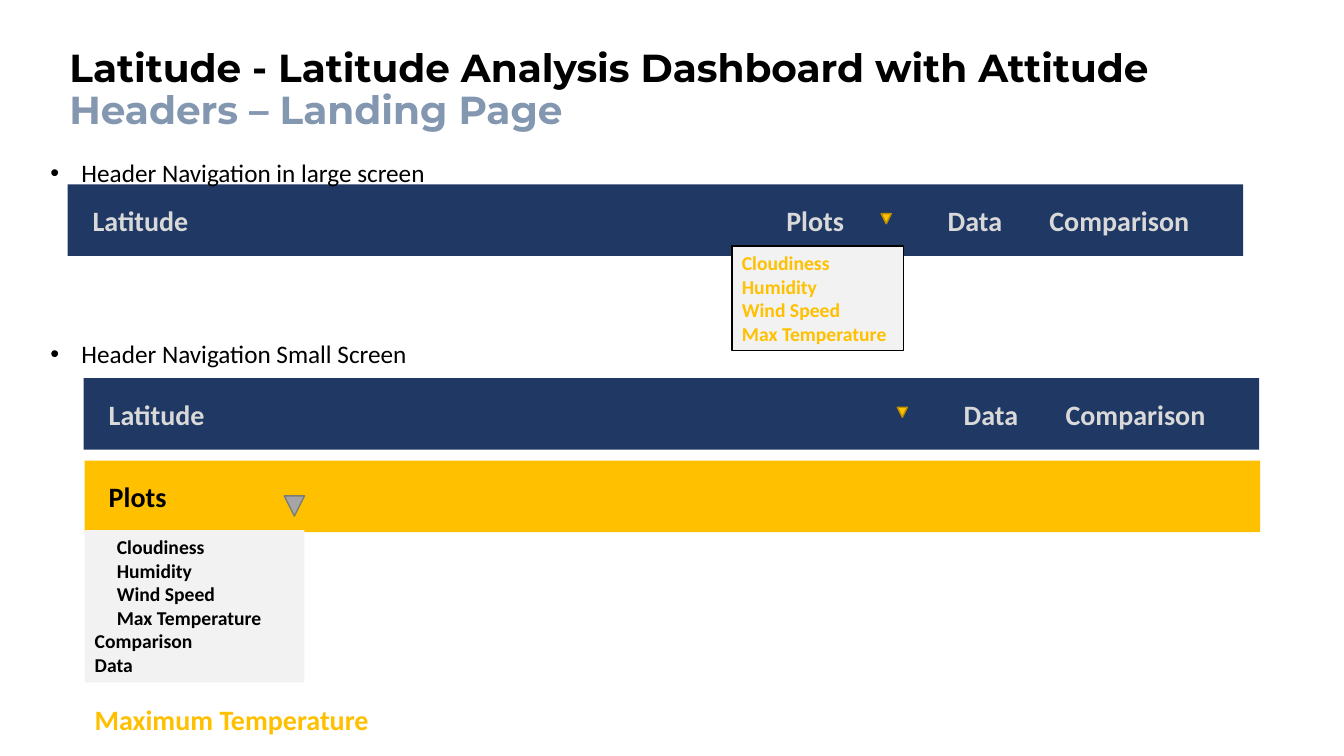
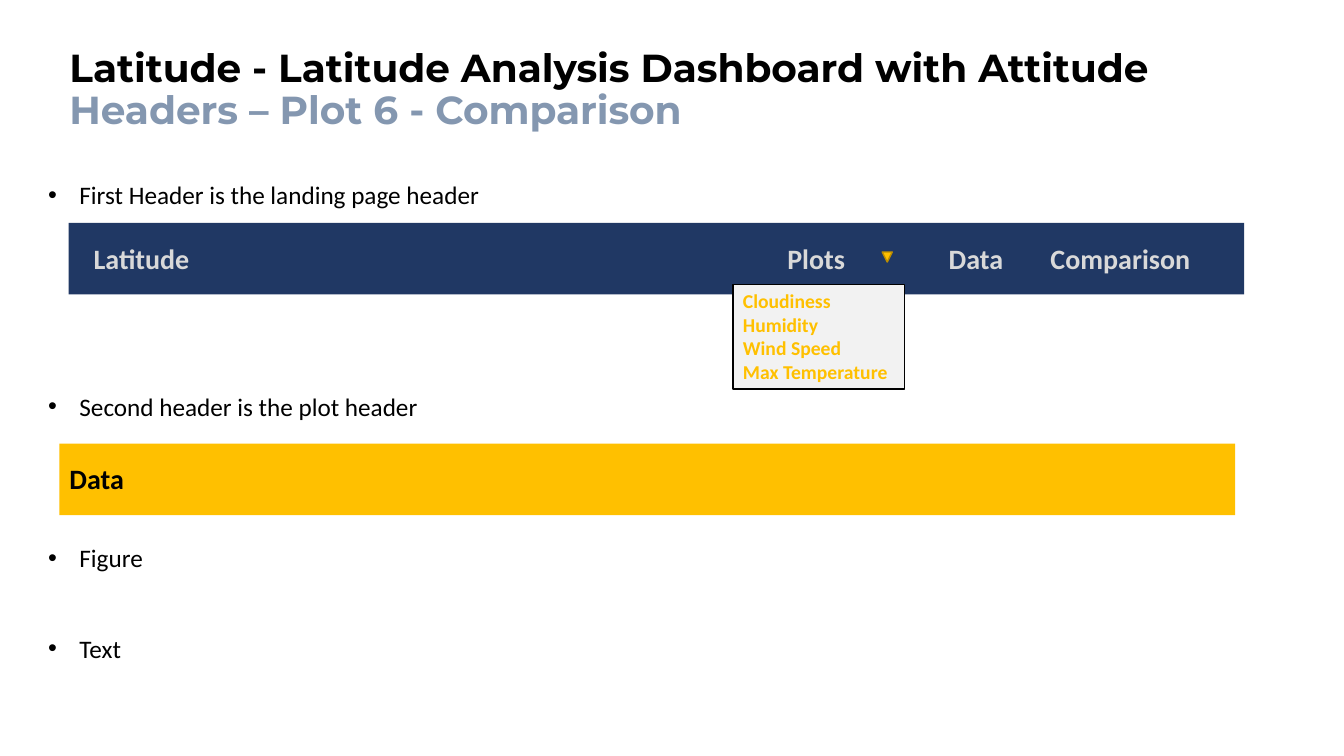
from pptx import Presentation, util as u
from pptx.dml.color import RGBColor
from pptx.enum import shapes, text
from pptx.oxml.ns import qn
from lxml import etree

Inches = u.Inches
COLORS = {"navy": "203864", "gold": "FFC000", "gold_edge": "BD8E00",
          "pale": "F2F2F2", "light": "D9D9D9", "gray": "A5A5A5",
          "gray_edge": "7A7A7A", "slate": "8497B0", "black": "000000"}
BAR_WIDTH, BAR_HEIGHT = 11.66, 0.71
LABEL_HEIGHT = 0.44
BULLET_LINE = 21.6  # points taken by one line of bullet text
RECT = shapes.MSO_SHAPE.RECTANGLE
ARROW = shapes.MSO_SHAPE.FLOWCHART_MERGE
PLOTS = ["Cloudiness", "Humidity", "Wind Speed", "Max Temperature"]


def add_box(page, at, lines=(), kind=None, fill=None, edge=None, size=20,
            color="black", bold=True, font="Calibri"):
    """Add a text box, or a preset shape when kind is given."""
    place = [Inches(length) for length in at]
    if kind is None:
        box = page.shapes.add_textbox(*place)
    else:
        box = page.shapes.add_shape(kind, *place)
        box.shadow.inherit = False
        box.fill.solid()
        box.fill.fore_color.rgb = RGBColor.from_string(COLORS[fill])
        if edge:
            box.line.color.rgb = RGBColor.from_string(COLORS[edge])
            box.line.width = u.Pt(1)
        else:
            box.line.fill.background()
    frame = box.text_frame
    frame.word_wrap = True
    frame.vertical_anchor = text.MSO_ANCHOR.TOP
    for index, line in enumerate(lines):
        para = frame.paragraphs[0] if index == 0 else frame.add_paragraph()
        para.alignment = text.PP_ALIGN.LEFT
        span = para.add_run()
        span.text = line
        formats = {"name": font, "size": u.Pt(size), "bold": bold}
        for name, value in formats.items():
            setattr(span.font, name, value)
        span.font.color.rgb = RGBColor.from_string(COLORS[color])
    return box


def add_header(page, left, top, with_menu=True):
    """Add the navy navigation bar with its labels and drop-down."""
    add_box(page, (left, top, BAR_WIDTH, BAR_HEIGHT), kind=RECT, fill="navy")
    labels = [("Latitude", 0.15, 2.77), ("Data", 8.63, 0.78),
              ("Comparison", 9.64, 1.69)]
    if with_menu:
        labels.append(("Plots", 7.03, 1.08))
        add_box(page, (left + 6.59, top + 0.61, 1.7, 1.04), PLOTS, RECT,
                "pale", "black", size=14, color="gold")
    for label, offset, width in labels:
        add_box(page, (left + offset, top + 0.14, width, LABEL_HEIGHT),
                [label], color="light")
    add_box(page, (left + 8.07, top + 0.29, 0.1, 0.1), kind=ARROW,
            fill="gold", edge="gold_edge")


deck = Presentation()
deck.slide_width, deck.slide_height = Inches(13.33), Inches(7.5)

# Titles and bullets; each bullet has the number of line heights above it
contents = [
    ("Headers – Landing Page", (0.4, 1.51, 5.52, 2.22),
     [("Header Navigation in large screen", 0),
      ("Header Navigation Small Screen", 5)]),
    ("Headers – Plot 6 - Comparison", (0.38, 1.73, 12.66, 5.25),
     [("First Header is the landing page header", 0),
      ("Second header is the plot header", 6), ("Figure", 4), ("Text", 2)]),
]
pages = []
for subtitle, bullets_at, bullets in contents:
    page = deck.slides.add_slide(deck.slide_layouts[6])
    pages.append(page)

    title = add_box(page, (0.59, 0.18, 11.5, 1.45),
                    ["Latitude - Latitude Analysis Dashboard with Attitude", subtitle],
                    size=27.9, font="Montserrat").text_frame
    title.vertical_anchor = text.MSO_ANCHOR.MIDDLE
    for para in title.paragraphs:
        para.line_spacing = 0.9
    para.runs[0].font.color.rgb = RGBColor.from_string(COLORS["slate"])

    if page is pages[0]:
        add_header(page, 0.67, 1.83)
    else:
        add_header(page, 0.68, 2.21)

    box = add_box(page, bullets_at, [line for line, gap in bullets],
                  size=18, bold=False)
    for para, (line, gap) in zip(box.text_frame.paragraphs, bullets):
        para.space_before = u.Pt(gap * BULLET_LINE)
        props = para._p.get_or_add_pPr()
        props.set("marL", str(Inches(0.31)))
        props.set("indent", str(-Inches(0.31)))
        etree.SubElement(props, qn("a:buFont")).set("typeface", "Arial")
        etree.SubElement(props, qn("a:buChar")).set("char", "•")

landing, comparison = pages

# Landing page: small-screen header with the opened plot menu
add_header(landing, 0.83, 3.75, with_menu=False)
add_box(landing, (0.84, 4.57, BAR_WIDTH, BAR_HEIGHT), kind=RECT, fill="gold")
add_box(landing, (0.98, 4.71, 1.08, LABEL_HEIGHT), ["Plots"])
menu = add_box(landing, (0.84, 5.26, 2.18, 1.51),
               PLOTS + ["Comparison", "Data"], RECT, "pale", size=14)
for para in menu.text_frame.paragraphs[:len(PLOTS)]:
    para._p.get_or_add_pPr().set("marL", str(Inches(0.22)))
add_box(landing, (2.82, 4.92, 0.2, 0.2), kind=ARROW, fill="gray",
        edge="gray_edge")
add_box(landing, (0.84, 6.92, 4.5, LABEL_HEIGHT), ["Maximum Temperature"],
        color="gold")

# Comparison page: plot header
add_box(comparison, (0.59, 4.4, BAR_WIDTH, BAR_HEIGHT), kind=RECT, fill="gold")
add_box(comparison, (0.59, 4.53, 4.5, LABEL_HEIGHT), ["Data"])

deck.save("out.pptx")
